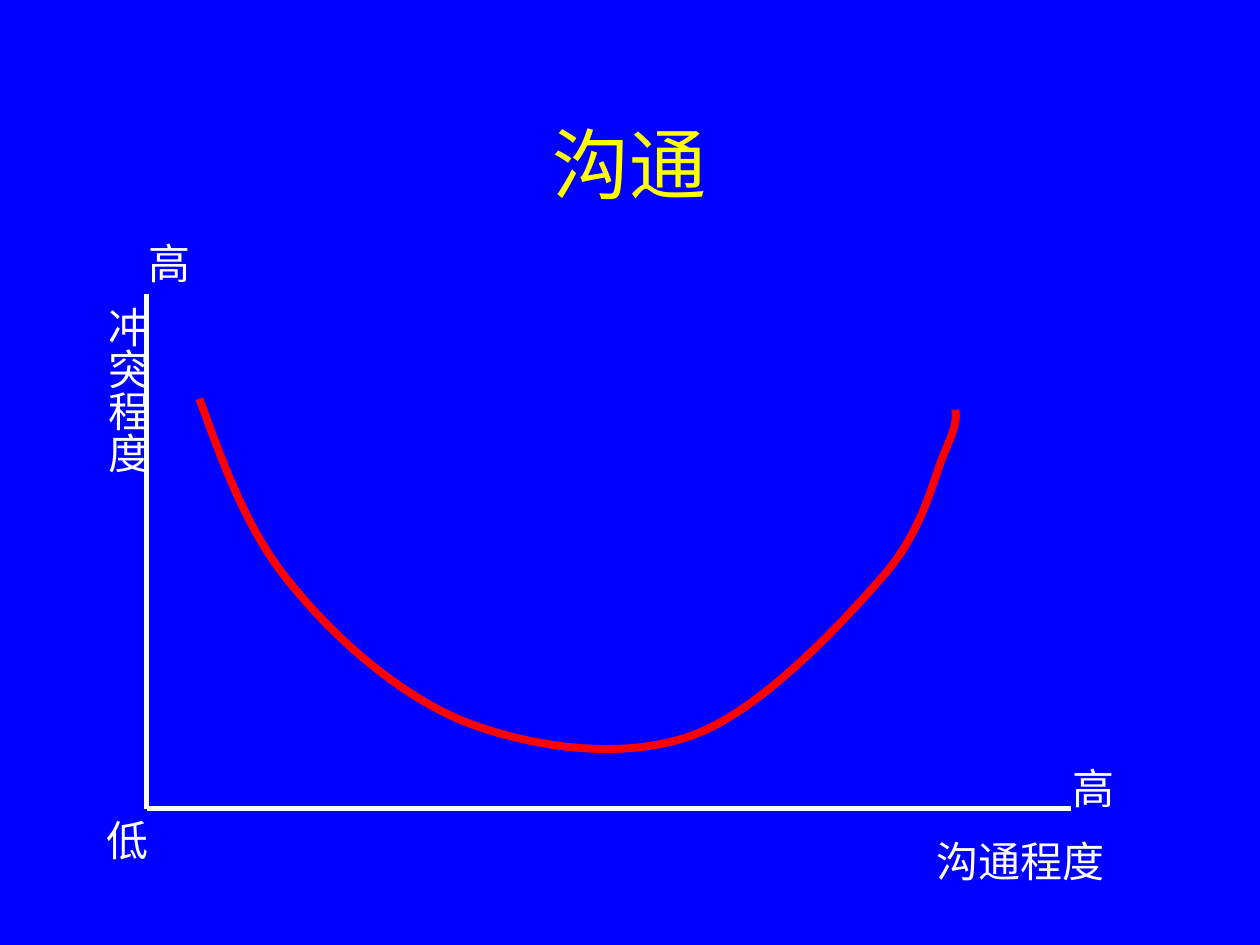
from lxml.etree import SubElement
from pptx import Presentation
from pptx.dml.color import RGBColor
from pptx.enum.shapes import MSO_CONNECTOR
from pptx.enum.text import MSO_ANCHOR, PP_ALIGN
from pptx.oxml.ns import qn
from pptx.util import Cm, Pt

BLUE = RGBColor(0x00, 0x00, 0xFF)
WHITE = RGBColor(0xFF, 0xFF, 0xFF)
YELLOW = RGBColor(0xFF, 0xFF, 0x00)
RED = RGBColor(0xFF, 0x00, 0x00)

ORIGIN_X, ORIGIN_Y = 2.96, 16.3
AXIS_TOP, AXIS_RIGHT = 5.93, 21.59
CONFLICT_CURVE = [
    (4.02, 8.04),
    (4.52, 9.4), (5.0, 10.77), (5.93, 11.85),
    (6.83, 12.95), (8.18, 14.12), (9.53, 14.61),
    (10.87, 15.09), (12.6, 15.32), (13.97, 14.82),
    (15.34, 14.32), (16.94, 12.6), (17.78, 11.64),
    (18.62, 10.69), (18.8, 9.68), (19.05, 9.1),
    (19.3, 8.53), (19.28, 8.41), (19.26, 8.26),
]


def write(para, text, font="Times New Roman", size=24, color=WHITE, align=PP_ALIGN.LEFT):
    """Add one formatted span of text to a paragraph."""
    para.alignment = align
    span = para.add_run()
    span.text = text
    span.font.name = font
    span.font.size = Pt(size)
    span.font.color.rgb = color
    east_asian = SubElement(span.font._element, qn("a:ea"))
    east_asian.set("typeface", "Noto Sans CJK SC")


class Painter:
    """Draw styled elements on the current page."""

    def __init__(self, page):
        self.page = page
        fill = page.background.fill
        fill.solid()
        fill.fore_color.rgb = BLUE

    def label(self, text, left, top, width, height, anchor=MSO_ANCHOR.TOP,
              vertical=False, **style):
        box = self.page.shapes.add_textbox(Cm(left), Cm(top), Cm(width), Cm(height))
        frame = box.text_frame
        frame.word_wrap = True
        frame.vertical_anchor = anchor
        if vertical:
            frame._bodyPr.set("vert", "eaVert")
            frame.margin_left = frame.margin_right = Cm(0.13)
            frame.margin_top = frame.margin_bottom = Cm(0.25)
        write(frame.paragraphs[0], text, **style)

    def axis(self, x1, y1, x2, y2):
        line = self.page.shapes.add_connector(
            MSO_CONNECTOR.STRAIGHT, Cm(x1), Cm(y1), Cm(x2), Cm(y2))
        line.line.color.rgb = WHITE
        line.line.width = Pt(3)
        SubElement(line._element.spPr, qn("a:effectLst"))

    def curve(self, points):
        start, *rest = [(Cm(x), Cm(y)) for x, y in points]
        builder = self.page.shapes.build_freeform(*start)
        builder.add_line_segments(rest, close=False)
        shape = builder.convert_to_shape()
        shape.shadow.inherit = False
        shape.fill.background()
        shape.line.color.rgb = RED
        shape.line.width = Pt(4.5)
        outline = next(shape._element.iter(qn("a:path")))
        segments = outline.findall(qn("a:lnTo"))
        for first in range(0, len(segments), 3):
            bezier = SubElement(outline, qn("a:cubicBezTo"))
            for segment in segments[first:first + 3]:
                bezier.append(segment[0])
                outline.remove(segment)


def main():
    """Build the communication and conflict page."""
    deck = Presentation()
    deck.slide_width, deck.slide_height = Cm(25.4), Cm(19.05)
    painter = Painter(deck.slides.add_slide(deck.slide_layouts[6]))
    painter.label("沟通", 1.9, 1.7, 21.59, 3.18, anchor=MSO_ANCHOR.MIDDLE,
                  font="Noto Sans CJK SC", size=44, color=YELLOW, align=PP_ALIGN.CENTER)
    painter.axis(ORIGIN_X, AXIS_TOP, ORIGIN_X, ORIGIN_Y)
    painter.axis(ORIGIN_X, ORIGIN_Y, AXIS_RIGHT, ORIGIN_Y)
    painter.curve(CONFLICT_CURVE)
    painter.label("冲突程度", 1.7, 5.93, 1.52, 5.72, vertical=True, align=PP_ALIGN.CENTER)
    for text, left, top, width in [
        ("沟通程度", 18.63, 16.72, 5.29),
        ("高", 21.38, 15.24, 2.75),
        ("低", 1.9, 16.3, 2.54),
        ("高", 2.75, 4.66, 2.12),
    ]:
        painter.label(text, left, top, width, 1.27)
    deck.save("out.pptx")


if __name__ == "__main__":
    main()
